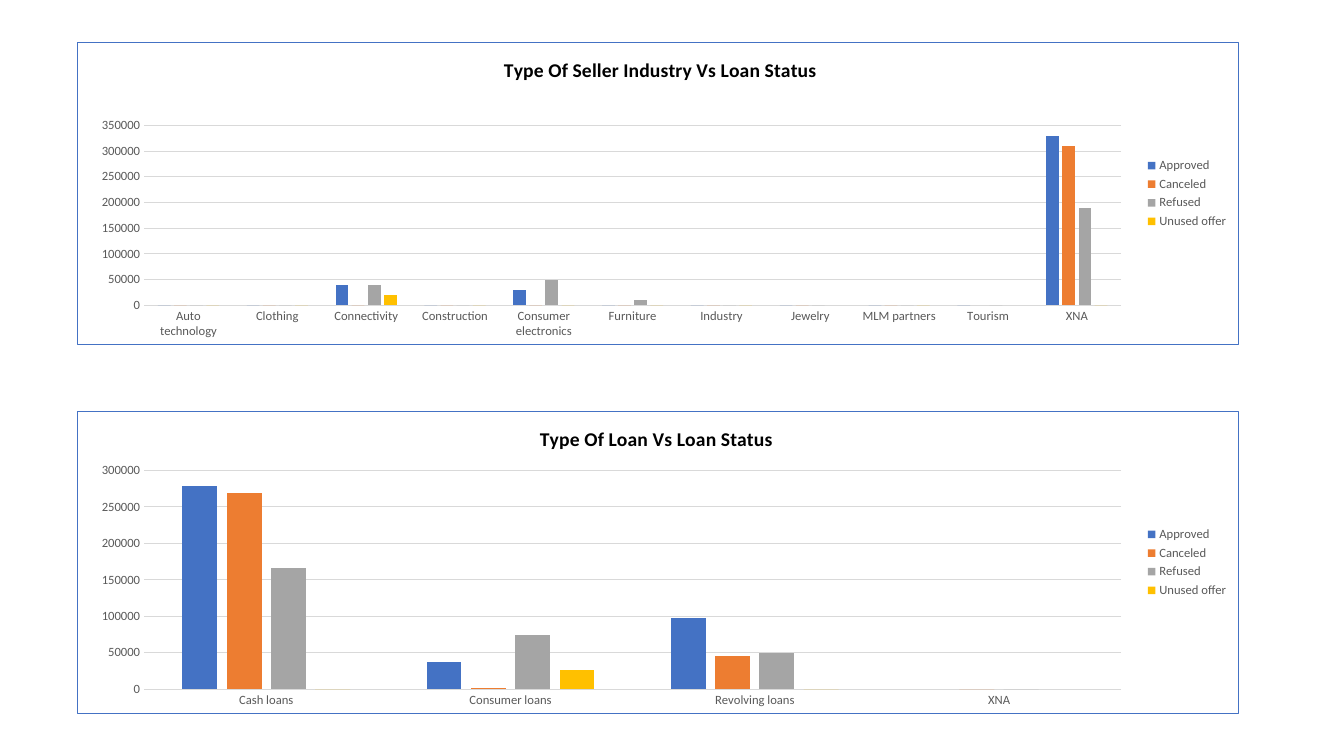
import pptx
import pptx.chart.data
import pptx.dml.color
import pptx.enum.chart
import pptx.oxml
import pptx.oxml.ns
import pptx.util

NS = ('xmlns:c="http://schemas.openxmlformats.org/drawingml/2006/chart" '
      'xmlns:a="http://schemas.openxmlformats.org/drawingml/2006/main"')
STATUSES = {"Approved": "4472C4", "Canceled": "ED7D31",
            "Refused": "A5A5A5", "Unused offer": "FFC000"}


def color(value):
    return pptx.dml.color.RGBColor.from_string(value)


def style_font(font, size=9, fill="595959", bold=False, name="Calibri"):
    font.name, font.size, font.bold = name, pptx.util.Pt(size), bold
    font.color.rgb = color(fill)


def style_line(line, fill="D9D9D9", width=0.75):
    line.color.rgb = color(fill)
    line.width = pptx.util.Pt(width)


def set_layout(parent, inner=False, **shares):
    """Place a title or plot area by shares of the chart's size."""
    layout = parent.find(pptx.oxml.ns.qn("c:layout"))
    if layout is not None:
        parent.remove(layout)
    target = '<c:layoutTarget val="inner"/>' if inner else ""
    modes = '<c:xMode val="edge"/><c:yMode val="edge"/>'
    sizes = "".join(f'<c:{key} val="{share}"/>' for key, share in shares.items())
    layout = pptx.oxml.parse_xml(
        f"<c:layout {NS}><c:manualLayout>{target}{modes}{sizes}"
        "</c:manualLayout></c:layout>")
    text = parent.find(pptx.oxml.ns.qn("c:tx"))
    if text is None:
        parent.insert(0, layout)
    else:
        text.addnext(layout)


class Page:
    """Holds the current slide and the shared chart style."""
    border = "4472C4"

    def __init__(self, deck):
        self.deck = deck
        self.slide = deck.slides.add_slide(deck.slide_layouts[6])

    def column_chart(self, top, title, title_left, plot_top, plot_height,
                     categories, rows, maximum):
        data = pptx.chart.data.CategoryChartData()
        data.categories = categories
        for status, values in zip(STATUSES, rows):
            data.add_series(status, values)
        width, height = self.deck.slide_width, self.deck.slide_height
        chart = self.slide.shapes.add_chart(
            pptx.enum.chart.XL_CHART_TYPE.COLUMN_CLUSTERED,
            int(0.0576 * width), int(top * height),
            int(0.8643 * width), int(0.4 * height), data).chart
        style_font(chart.font, 10, "000000")

        # Title and plot area
        chart.has_title = True
        paragraph = chart.chart_title.text_frame.paragraphs[0]
        span = paragraph.add_run()
        span.text = title
        style_font(span.font, 14, "000000", bold=True)
        set_layout(chart.chart_title._element, x=title_left, y=0.034)
        set_layout(chart._chartSpace.chart.plotArea, inner=True,
                   x=0.057, y=plot_top, w=0.842, h=plot_height)

        # Columns
        plot = chart.plots[0]
        plot.gap_width, plot.overlap = 219, -27
        plot.vary_by_categories = False
        for series, fill in zip(plot.series, STATUSES.values()):
            series.format.fill.solid()
            series.format.fill.fore_color.rgb = color(fill)

        # Axes
        for axis in (chart.category_axis, chart.value_axis):
            style_font(axis.tick_labels.font)
            axis.major_tick_mark = pptx.enum.chart.XL_TICK_MARK.NONE
            axis.minor_tick_mark = pptx.enum.chart.XL_TICK_MARK.NONE
        style_line(chart.category_axis.format.line)
        axis = chart.value_axis
        axis.format.line.fill.background()
        axis.minimum_scale, axis.maximum_scale = 0, maximum
        axis.major_unit = 50000
        axis.has_major_gridlines = True
        style_line(axis.major_gridlines.format.line)

        # Legend
        chart.has_legend = True
        chart.legend.position = pptx.enum.chart.XL_LEGEND_POSITION.RIGHT
        chart.legend.include_in_layout = False
        style_font(chart.legend.font)

        # Frame
        chart._chartSpace.chart.addnext(pptx.oxml.parse_xml(
            f'<c:spPr {NS}><a:solidFill><a:srgbClr val="FFFFFF"/></a:solidFill>'
            f'<a:ln w="9525"><a:solidFill><a:srgbClr val="{self.border}"/>'
            "</a:solidFill></a:ln></c:spPr>"))


deck = pptx.Presentation()
deck.slide_width = pptx.util.Inches(13.33)
deck.slide_height = pptx.util.Inches(7.5)
page = Page(deck)

# Seller industry
page.column_chart(
    0.056, "Type Of Seller Industry Vs Loan Status", 0.364, 0.274, 0.597,
    ["Auto technology", "Clothing", "Connectivity", "Construction",
     "Consumer electronics", "Furniture", "Industry", "Jewelry",
     "MLM partners", "Tourism", "XNA"],
    [[0, 0, 40000, 0, 30000, 0, 0, 0, 0, 0, 330000],
     [0, 0, 0, 0, 0, 0, 0, 0, 0, None, 310000],
     [0, 0, 40000, 0, 50000, 10000, 0, 0, 0, 0, 190000],
     [0, 0, 20000, 0, 0, 0, 0, None, 0, None, 0]],
    350000)

# Loan type
page.column_chart(
    0.544, "Type Of Loan Vs Loan Status", 0.395, 0.195, 0.726,
    ["Cash loans", "Consumer loans", "Revolving loans", "XNA"],
    [[279000, 38000, 98000, None],
     [269000, 2000, 46000, 0],
     [166000, 75000, 50000, 0],
     [0, 26000, 0, None]],
    300000)

deck.save("out.pptx")
